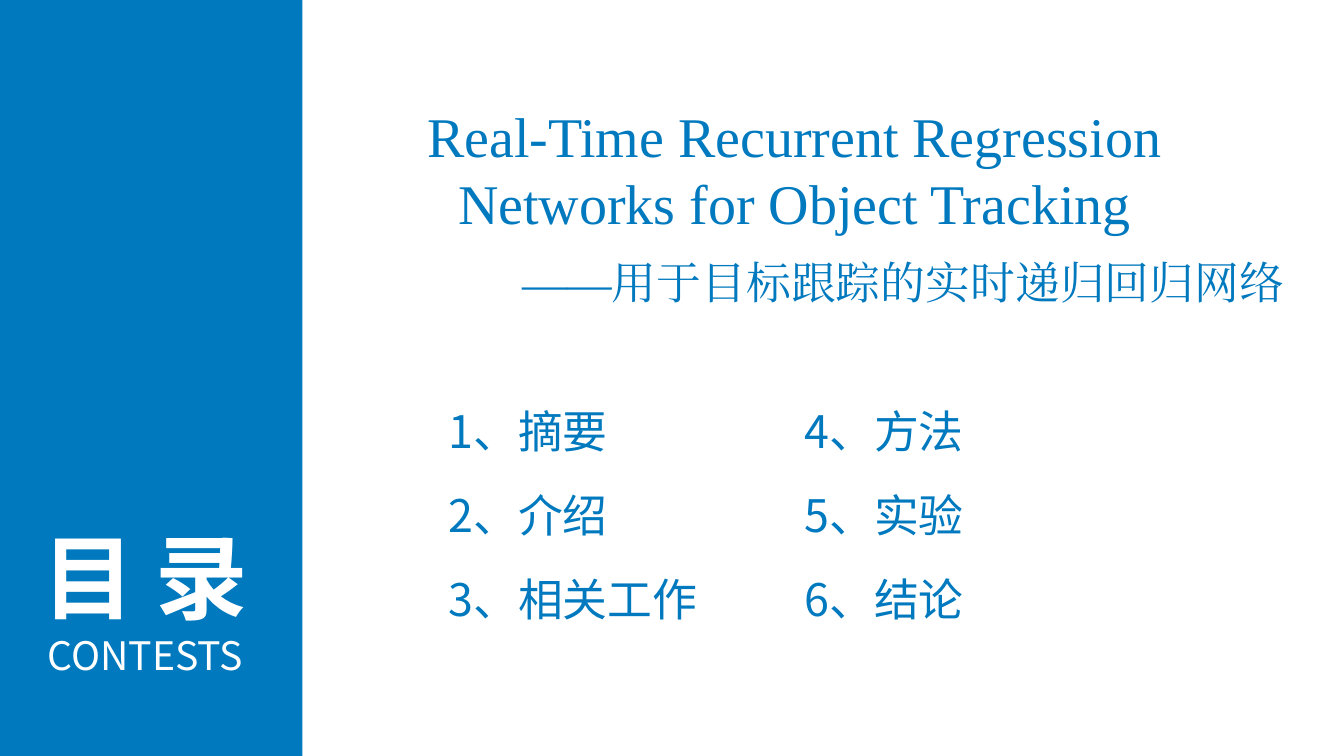
"""Build a contents slide with a blue side panel, a paper title and six numbered topics."""
from dataclasses import dataclass

from lxml import etree
from pptx import Presentation
from pptx.dml.color import RGBColor
from pptx.enum.shapes import MSO_SHAPE
from pptx.enum.text import MSO_ANCHOR, PP_ALIGN
from pptx.oxml.ns import qn
from pptx.util import Emu, Pt

RECT = MSO_SHAPE.RECTANGLE
LEFT, CENTER = PP_ALIGN.LEFT, PP_ALIGN.CENTER
MIDDLE = MSO_ANCHOR.MIDDLE
PX = 9144


@dataclass(frozen=True)
class Theme:
    """Colours, fonts and type sizes of the slide."""
    blue: RGBColor = RGBColor(0x00, 0x79, 0xBF)
    white: RGBColor = RGBColor(0xFF, 0xFF, 0xFF)
    sans: str = "Noto Sans CJK SC"
    serif: str = "Times New Roman"
    heading: int = 66
    title: int = 40
    body: int = 32
    label: int = 28


THEME = Theme()

SIZE = (1333, 750)
PANEL = (0, 0, 300, 750)
HEADING_BOX = (13, 523, 262, 143)
HEADING = ("目 录", "CONTESTS")
TITLE_BOX = (355, 96, 866, 145)
TITLE = "Real-Time Recurrent Regression Networks for Object Tracking"
SUBTITLE_BOX = (508, 248, 866, 64)
SUBTITLE = "——用于目标跟踪的实时递归回归网络"
TOPICS = (
    ("1、摘要", "2、介绍", "3、相关工作"),
    ("4、方法", "5、实验", "6、结论"),
)
TOPIC_ORIGIN = (435, 396)
TOPIC_STEP = (353, 83)
TOPIC_SIZE = (464, 64)


def px(box):
    return [Emu(v * PX) for v in box]


def write(p, text, size, color, font, align=LEFT, bold=False):
    p.text = text
    p.alignment = align
    for r in p.runs:
        r.font.size = Pt(size)
        r.font.bold = bold
        r.font.color.rgb = color
        r.font.name = font
        etree.SubElement(r.font._element, qn("a:ea")).set("typeface", font)


def add_block(slide, box):
    sp = slide.shapes.add_shape(RECT, *px(box))
    sp.shadow.inherit = False
    sp.fill.solid()
    sp.fill.fore_color.rgb = THEME.blue
    sp.line.fill.background()
    return sp


def add_text(slide, box, text, size, font, align=LEFT):
    tf = slide.shapes.add_textbox(*px(box)).text_frame
    tf.word_wrap = True
    write(tf.paragraphs[0], text, size, THEME.blue, font, align)


def main():
    prs = Presentation()
    prs.slide_width, prs.slide_height = px(SIZE)
    slide = prs.slides.add_slide(prs.slide_layouts[6])

    add_block(slide, PANEL)
    tf = add_block(slide, HEADING_BOX).text_frame
    tf.word_wrap = True
    tf.vertical_anchor = MIDDLE
    heading, label = HEADING
    write(tf.paragraphs[0], heading, THEME.heading, THEME.white, THEME.sans, CENTER, True)
    write(tf.add_paragraph(), label, THEME.label, THEME.white, THEME.sans, CENTER)

    add_text(slide, TITLE_BOX, TITLE, THEME.title, THEME.serif, CENTER)
    add_text(slide, SUBTITLE_BOX, SUBTITLE, THEME.body, THEME.serif)

    (x0, y0), (dx, dy) = TOPIC_ORIGIN, TOPIC_STEP
    for col, topics in enumerate(TOPICS):
        for row, topic in enumerate(topics):
            box = (x0 + col * dx, y0 + row * dy, *TOPIC_SIZE)
            add_text(slide, box, topic, THEME.body, THEME.sans)

    prs.save("out.pptx")


if __name__ == "__main__":
    main()
